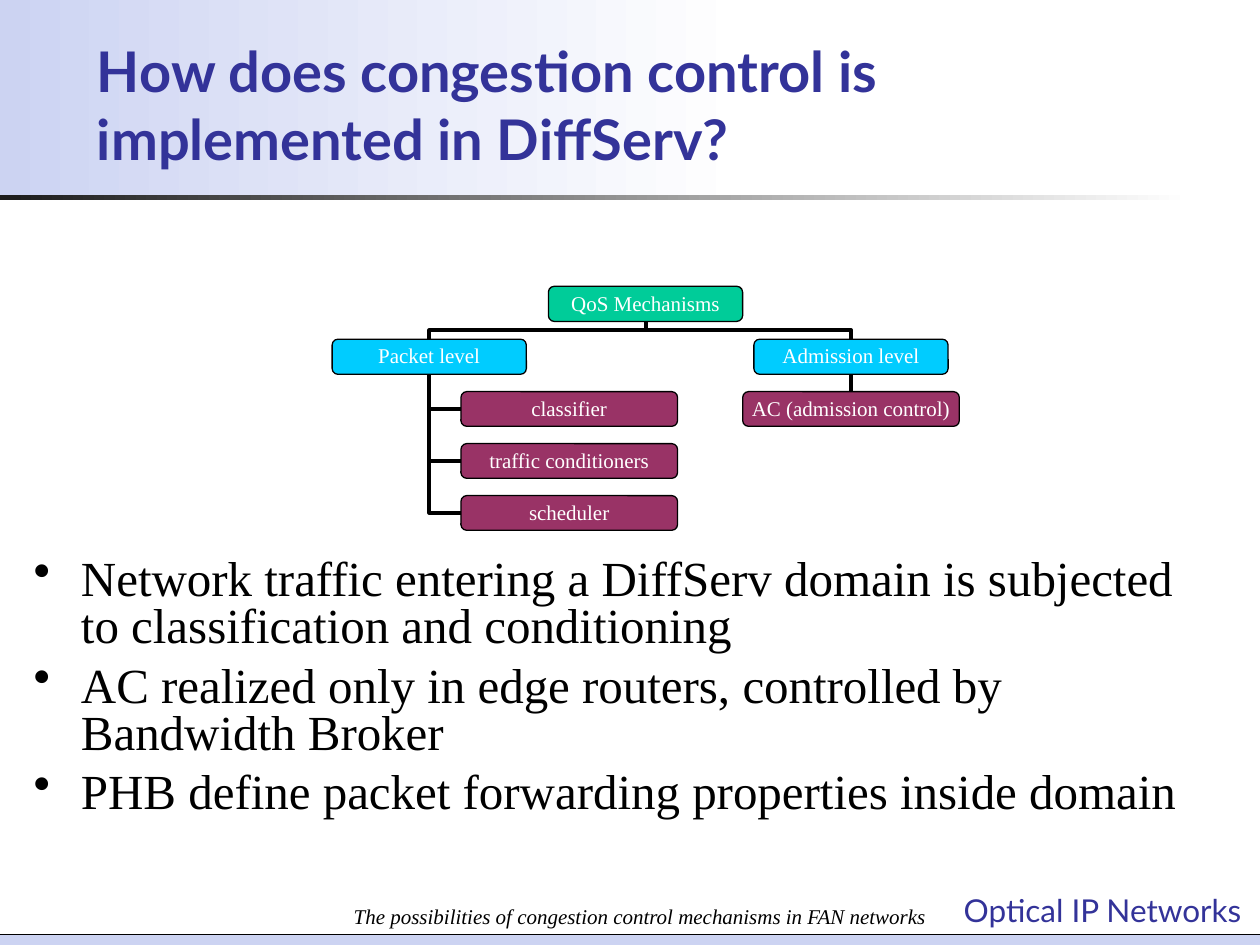
"""Build the slide on congestion control in DiffServ."""
from lxml import etree
from pptx import Presentation
from pptx.dml.color import RGBColor
from pptx.enum import shapes, text
from pptx.oxml.ns import qn
from pptx.util import Pt

COLORS = {
    "ink": "000000", "paper": "FFFFFF", "title": "333399", "band": "CCD3F2",
    "rule": "1C1C1C", "root": "00CC99", "level": "00CCFF", "part": "993366",
}
SERIF, SANS = "Times New Roman", "Lato"
TITLE = "How does congestion control is implemented in DiffServ?"
BULLETS = [
    "Network traffic entering a DiffServ domain is subjected to classification and conditioning",
    "AC realized only in edge routers, controlled by Bandwidth Broker",
    "PHB define packet forwarding properties inside domain",
]
FOOTER = "The possibilities of congestion control mechanisms in FAN networks"
BRANDING = "Optical IP Networks"
ROOT = "QoS Mechanisms"
PACKET, PACKET_PARTS = "Packet level", ["classifier", "traffic conditioners", "scheduler"]
ADMISSION, ADMISSION_PART = "Admission level", "AC (admission control)"

ROOT_TOP, LEVEL_TOP, PART_TOP, PART_STEP = 163.6, 193.8, 223.8, 29.7
LEVEL_SIZE, PART_SIZE = (111, 20.1), (123.8, 19.8)
ROOT_LEFT, PACKET_LEFT, ADMISSION_LEFT, PART_LEFT = 313.4, 189.8, 430.8, 263.4


def color(name):
    return RGBColor.from_string(COLORS[name])


def write(shape, paragraphs, size=12, font=SERIF, fill="ink", bold=False, italic=False,
          align=text.PP_ALIGN.LEFT, anchor=text.MSO_ANCHOR.TOP, wrap=True,
          inset=(7.2, 3.6), spacing=None, before=0, bullet=False):
    frame = shape.text_frame
    frame.word_wrap = wrap
    frame.auto_size = text.MSO_AUTO_SIZE.NONE
    frame.vertical_anchor = anchor
    frame.margin_left = frame.margin_right = Pt(inset[0])
    frame.margin_top = frame.margin_bottom = Pt(inset[1])
    for index, words in enumerate(paragraphs):
        paragraph = frame.add_paragraph() if index else frame.paragraphs[0]
        paragraph.text = words
        paragraph.alignment = align
        paragraph.space_before = Pt(before if index else 0)
        if spacing:
            paragraph.line_spacing = spacing
        if bullet:
            properties = paragraph._p.get_or_add_pPr()
            properties.set("marL", str(Pt(27)))
            properties.set("indent", str(-Pt(27)))
            etree.SubElement(properties, qn("a:buChar"), char="•")
        for run in paragraph.runs:
            run.font.name, run.font.size = font, Pt(size)
            run.font.bold, run.font.italic = bold, italic
            run.font.color.rgb = color(fill)


def add_text(slide, box, paragraphs, **style):
    shape = slide.shapes.add_textbox(*map(Pt, box))
    write(shape, paragraphs, **style)


def add_bar(slide, box, start, end=None):
    shape = slide.shapes.add_shape(shapes.MSO_SHAPE.RECTANGLE, *map(Pt, box))
    shape.shadow.inherit = False
    shape.line.fill.background()
    if end is None:
        shape.fill.solid()
        shape.fill.fore_color.rgb = color(start)
        return
    shape.fill.gradient()
    shape.fill.gradient_angle = 0
    for stop, name in zip(shape.fill.gradient_stops, (start, end)):
        stop.color.rgb = color(name)


def add_node(slide, label, left, top, size, fill):
    node = slide.shapes.add_shape(
        shapes.MSO_SHAPE.ROUNDED_RECTANGLE, Pt(left), Pt(top), *map(Pt, size))
    node.shadow.inherit = False
    node.fill.solid()
    node.fill.fore_color.rgb = color(fill)
    node.line.color.rgb = color("ink")
    node.line.width = Pt(0.75)
    write(node, [label], fill="paper", align=text.PP_ALIGN.CENTER, wrap=False,
          anchor=text.MSO_ANCHOR.MIDDLE, inset=(3.6, 2), spacing=0.95)
    return node


def add_line(slide, points, kind=shapes.MSO_CONNECTOR.STRAIGHT, width=2.25):
    line = slide.shapes.add_connector(kind, *map(int, points))
    line.line.color.rgb = color("ink")
    line.line.width = Pt(width)
    etree.SubElement(line._element.spPr, qn("a:effectLst"))
    return line


def join_level(slide, child, parent):
    """Rise from the child's top, cross halfway, and rise to the parent's bottom."""
    x1, y1 = child.left + child.width / 2, child.top
    x2, y2 = parent.left + parent.width / 2, parent.top + parent.height
    middle_x, middle_y = (x1 + x2) / 2, (y1 + y2) / 2
    half_rise, half_run = (y1 - y2) / 2, abs(x2 - x1) / 2
    side, turn = (1, 90) if x1 < x2 else (-1, 270)
    line = add_line(slide, (middle_x + side * half_rise, middle_y + half_run,
                            middle_x - side * half_rise, middle_y - half_run),
                    shapes.MSO_CONNECTOR.ELBOW)
    line._element.spPr.find(qn("a:xfrm")).set("rot", str(turn * 60000))


def join_part(slide, child, parent):
    """Leave the child's left side and turn once up to the parent's bottom."""
    line = add_line(slide, (child.left, child.top + child.height / 2,
                            parent.left + parent.width / 2, parent.top + parent.height),
                    shapes.MSO_CONNECTOR.ELBOW)
    line._element.spPr.find(qn("a:prstGeom")).set("prst", "bentConnector2")


def add_tree(slide):
    root = add_node(slide, ROOT, ROOT_LEFT, ROOT_TOP, LEVEL_SIZE, "root")
    packet = add_node(slide, PACKET, PACKET_LEFT, LEVEL_TOP, LEVEL_SIZE, "level")
    admission = add_node(slide, ADMISSION, ADMISSION_LEFT, LEVEL_TOP, LEVEL_SIZE, "level")
    for level in (packet, admission):
        join_level(slide, level, root)
    for index, label in enumerate(PACKET_PARTS):
        part = add_node(slide, label, PART_LEFT, PART_TOP + index * PART_STEP, PART_SIZE, "part")
        join_part(slide, part, packet)
    control_left = ADMISSION_LEFT + (LEVEL_SIZE[0] - PART_SIZE[0]) / 2
    control = add_node(slide, ADMISSION_PART, control_left, PART_TOP, PART_SIZE, "part")
    line = add_line(slide, (0, 0, 0, 0))
    line.begin_connect(control, 0)
    line.end_connect(admission, 2)


def main():
    presentation = Presentation()
    presentation.slide_width, presentation.slide_height = Pt(720), Pt(540)
    slide = presentation.slides.add_slide(presentation.slide_layouts[5])
    add_bar(slide, (0, 0, 426, 114), "band", "paper")
    add_bar(slide, (0, 111.5, 680, 2.6), "rule", "paper")
    add_bar(slide, (0, 534, 720, 6), "band")
    add_line(slide, (0, Pt(534), Pt(720), Pt(534)), width=0.75)
    add_text(slide, (543.6, 505.4, 181.4, 28.8), [BRANDING], size=18, font=SANS,
             fill="title", wrap=False)

    title = slide.shapes.title
    title.left, title.top, title.width, title.height = map(Pt, (48.2, 8, 558, 93.6))
    write(title, [TITLE], size=32, font=SANS, fill="title", bold=True,
          anchor=text.MSO_ANCHOR.BOTTOM, spacing=1.01)
    slide.shapes._spTree.append(title._element)
    add_text(slide, (12.2, 316, 693.4, 166.3), BULLETS, size=28, spacing=0.8,
             before=7, bullet=True)
    add_tree(slide)
    add_text(slide, (178.6, 498.2, 374.4, 36), [FOOTER], italic=True,
             align=text.PP_ALIGN.CENTER, anchor=text.MSO_ANCHOR.BOTTOM)
    presentation.save("out.pptx")


if __name__ == "__main__":
    main()
